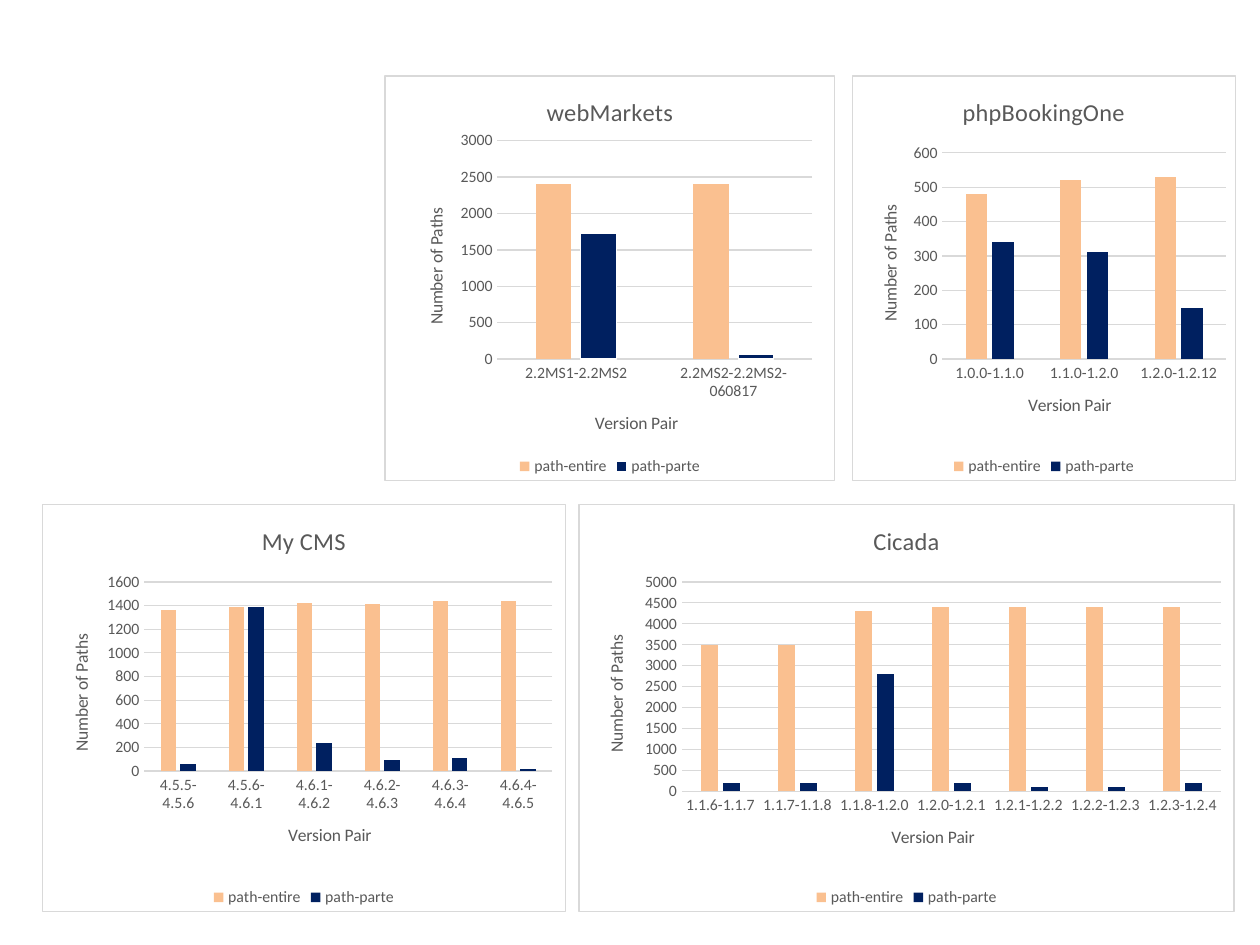
import pptx
import pptx.chart.data
import pptx.dml.color
import pptx.enum.chart
import pptx.oxml
import pptx.oxml.ns
import pptx.util

Cm = pptx.util.Cm
Pt = pptx.util.Pt

THEME = {
    "font": "Calibri",
    "title": 14,
    "axis_title": 10,
    "label": 9,
    "line": 0.75,
    "text": "595959",
    "rule": "D9D9D9",
    "paper": "FFFFFF",
    "entire": "FAC090",
    "parte": "002060",
}

SERIES = [("path-entire", "entire"), ("path-parte", "parte")]
CATEGORY_TITLE = "Version Pair"
VALUE_TITLE = "Number of Paths"

ROWS = [
    {"top": 1.52, "height": 8.18, "charts": [
        {"title": "webMarkets", "left": 7.75, "width": 9.09,
         "pairs": ["2.2MS1-2.2MS2", "2.2MS2-2.2MS2-060817"],
         "paths": [(2400, 2410), (1720, 60)],
         "scale": (3000, 500), "plot": (0.25, 0.16, 0.7, 0.54), "outlined": True},
        {"title": "phpBookingOne", "left": 17.17, "width": 7.75,
         "pairs": ["1.0.0-1.1.0", "1.1.0-1.2.0", "1.2.0-1.2.12"],
         "paths": [(480, 520, 530), (340, 310, 150)],
         "scale": (600, 100), "plot": (0.235, 0.19, 0.74, 0.51)},
    ]},
    {"top": 10.16, "height": 8.23, "charts": [
        {"title": "My CMS", "left": 0.84, "width": 10.57,
         "pairs": ["4.5.5-4.5.6", "4.5.6-4.6.1", "4.6.1-4.6.2",
                   "4.6.2-4.6.3", "4.6.3-4.6.4", "4.6.4-4.6.5"],
         "paths": [(1360, 1390, 1420, 1410, 1440, 1440),
                   (60, 1390, 240, 90, 110, 20)],
         "scale": (1600, 200), "plot": (0.195, 0.19, 0.78, 0.465)},
        {"title": "Cicada", "left": 11.66, "width": 13.23,
         "pairs": ["1.1.6-1.1.7", "1.1.7-1.1.8", "1.1.8-1.2.0", "1.2.0-1.2.1",
                   "1.2.1-1.2.2", "1.2.2-1.2.3", "1.2.3-1.2.4"],
         "paths": [(3500, 3500, 4300, 4400, 4400, 4400, 4400),
                   (200, 200, 2800, 200, 100, 100, 200)],
         "scale": (5000, 500), "plot": (0.157, 0.19, 0.823, 0.515)},
    ]},
]


def color(name):
    return pptx.dml.color.RGBColor.from_string(THEME[name])


def style_font(font, size):
    font.name = THEME["font"]
    font.size = Pt(THEME[size])
    font.bold = False
    font.color.rgb = color("text")


def style_line(line, name):
    line.color.rgb = color(name)
    line.width = Pt(THEME["line"])


def write_title(owner, text, size):
    run = owner.text_frame.paragraphs[0].add_run()
    run.text = text
    style_font(run.font, size)


def style_axis(axis, title):
    axis.major_tick_mark = pptx.enum.chart.XL_TICK_MARK.NONE
    axis.minor_tick_mark = pptx.enum.chart.XL_TICK_MARK.NONE
    style_font(axis.tick_labels.font, "label")
    write_title(axis.axis_title, title, "axis_title")


def frame_chart(chart):
    frame = pptx.oxml.parse_xml(
        f'<c:spPr {pptx.oxml.ns.nsdecls("c", "a")}>'
        f'<a:solidFill><a:srgbClr val="{THEME["paper"]}"/></a:solidFill>'
        f'<a:ln w="{Pt(THEME["line"])}"><a:solidFill>'
        f'<a:srgbClr val="{THEME["rule"]}"/></a:solidFill></a:ln></c:spPr>')
    chart.element.find(pptx.oxml.ns.qn("c:chart")).addnext(frame)


def place_plot(chart, plot):
    area = chart.element.find(".//" + pptx.oxml.ns.qn("c:plotArea"))
    for automatic in area.findall(pptx.oxml.ns.qn("c:layout")):
        area.remove(automatic)
    modes = "".join(f'<c:{side}Mode val="edge"/>' for side in "xy")
    sizes = "".join(f'<c:{side} val="{share}"/>' for side, share in zip("xywh", plot))
    area.insert(0, pptx.oxml.parse_xml(
        f'<c:layout {pptx.oxml.ns.nsdecls("c")}><c:manualLayout>'
        f'<c:layoutTarget val="inner"/>{modes}{sizes}</c:manualLayout></c:layout>'))


def add_path_chart(slide, content, top, height):
    data = pptx.chart.data.CategoryChartData()
    data.categories = content["pairs"]
    for (name, _), paths in zip(SERIES, content["paths"]):
        data.add_series(name, paths)
    chart = slide.shapes.add_chart(
        pptx.enum.chart.XL_CHART_TYPE.COLUMN_CLUSTERED,
        Cm(content["left"]), Cm(top), Cm(content["width"]), Cm(height), data).chart

    style_font(chart.font, "label")
    chart.has_title = True
    write_title(chart.chart_title, content["title"], "title")
    chart.has_legend = True
    chart.legend.position = pptx.enum.chart.XL_LEGEND_POSITION.BOTTOM
    chart.legend.include_in_layout = False
    style_font(chart.legend.font, "label")

    style_axis(chart.category_axis, CATEGORY_TITLE)
    style_line(chart.category_axis.format.line, "rule")
    values = chart.value_axis
    style_axis(values, VALUE_TITLE)
    values.format.line.fill.background()
    values.has_major_gridlines = True
    style_line(values.major_gridlines.format.line, "rule")
    values.minimum_scale = 0
    values.maximum_scale, values.major_unit = content["scale"]

    columns = chart.plots[0]
    columns.vary_by_categories = False
    columns.gap_width = 219
    columns.overlap = -27
    for series, (_, fill) in zip(columns.series, SERIES):
        series.format.fill.solid()
        series.format.fill.fore_color.rgb = color(fill)
    if content.get("outlined"):
        style_line(columns.series[1].format.line, "paper")

    frame_chart(chart)
    place_plot(chart, content["plot"])


def main():
    deck = pptx.Presentation()
    deck.slide_width, deck.slide_height = Cm(25.4), Cm(19.05)
    slide = deck.slides.add_slide(deck.slide_layouts[6])
    for row in ROWS:
        for content in row["charts"]:
            add_path_chart(slide, content, row["top"], row["height"])
    deck.save("out.pptx")


if __name__ == "__main__":
    main()
